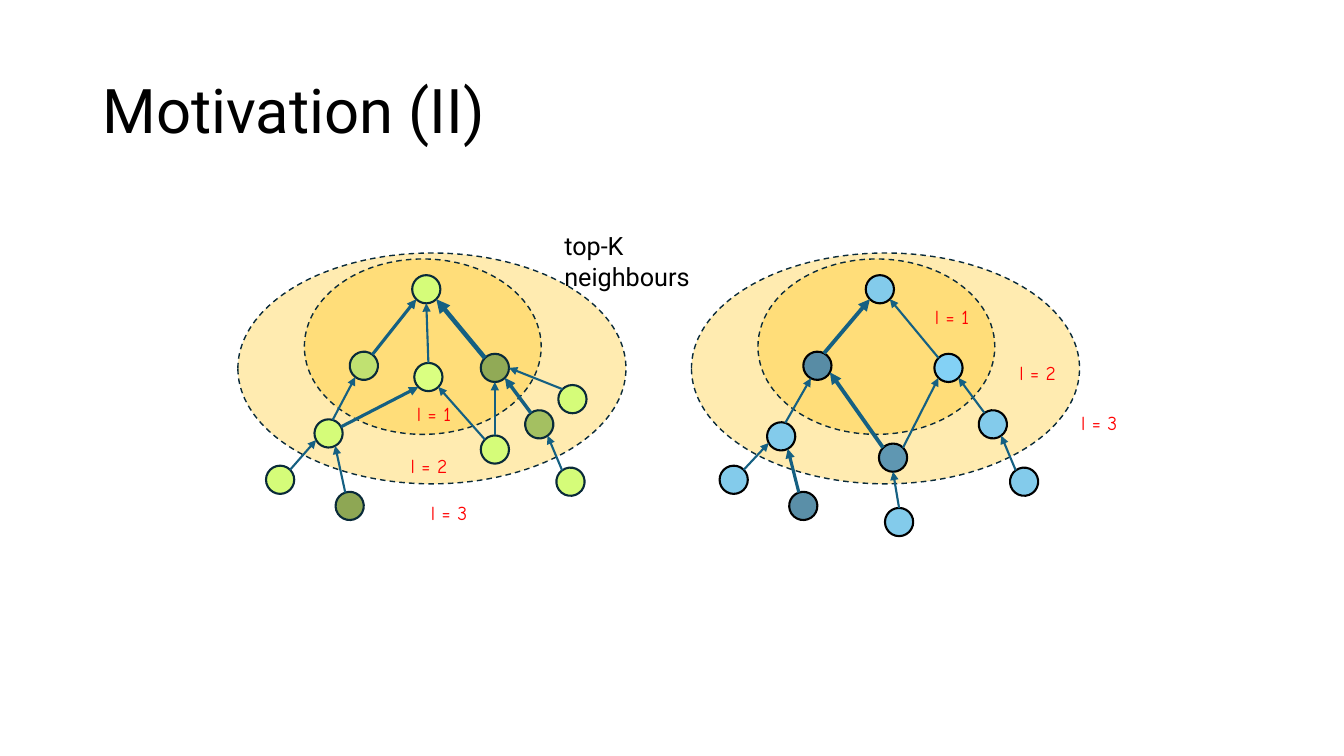
import math

import lxml.etree
import pptx
import pptx.dml.color
import pptx.enum.dml
import pptx.enum.shapes
import pptx.enum.text
import pptx.oxml.ns
import pptx.util

Pt = pptx.util.Pt
qn = pptx.oxml.ns.qn

COLORS = {
    "text": "000000", "level": "FF0000", "arrow": "156082",
    "halo": "FFC000", "halo_line": "092A39",
    "lime": "D5FC79", "lime_light": "DAFF81", "lime_mid": "C0E171",
    "olive_light": "A4C061", "olive": "91AA56", "olive_dark": "8EA754",
    "sky": "83CBEB", "sky_light": "83D1F5",
    "steel": "588CA5", "steel_light": "5F97B2", "steel_mid": "5A8FA8",
}
RADIUS = 10.08


def rgb(name):
    return pptx.dml.color.RGBColor.from_string(COLORS[name])


class GraphSlide:
    """Style and drawing methods for one slide."""

    def __init__(self, slide):
        self.slide = slide
        self.shapes = slide.shapes

    def style_text(self, tf, text, font, size, color, align):
        tf.text = text
        p = tf.paragraphs[0]
        p.alignment = align
        p.font.name, p.font.size = font, Pt(size)
        p.font.color.rgb = rgb(color)
        return p

    def title(self, text, left, top, width, height):
        sp = self.shapes.title
        sp.left, sp.top, sp.width, sp.height = map(Pt, (left, top, width, height))
        tf = sp.text_frame
        tf.vertical_anchor = pptx.enum.text.MSO_ANCHOR.MIDDLE
        p = self.style_text(tf, text, "Roboto", 44, "text", pptx.enum.text.PP_ALIGN.LEFT)
        p.line_spacing = 0.9

    def label(self, text, left, top, width, height, font, size, color, align):
        sp = self.shapes.add_textbox(Pt(left), Pt(top), Pt(width), Pt(height))
        sp.text_frame.word_wrap = True
        self.style_text(sp.text_frame, text, font, size, color, align)

    def ellipse(self, left, top, width, height, fill, line, weight):
        sp = self.shapes.add_shape(pptx.enum.shapes.MSO_SHAPE.OVAL,
                                   Pt(left), Pt(top), Pt(width), Pt(height))
        sp.shadow.inherit = False
        sp.fill.solid()
        sp.fill.fore_color.rgb = rgb(fill)
        sp.line.color.rgb = rgb(line)
        sp.line.width = Pt(weight)
        return sp

    def halo(self, left, top, width, height):
        sp = self.ellipse(left, top, width, height, "halo", "halo_line", 1)
        sp.line.dash_style = pptx.enum.dml.MSO_LINE.DASH
        color = sp.fill._xPr.find(qn("a:solidFill"))[0]
        lxml.etree.SubElement(color, qn("a:alpha")).set("val", "31000")

    def node(self, x, y, rotation, fill, line):
        sp = self.ellipse(x - RADIUS, y - RADIUS, 2 * RADIUS, 2 * RADIUS, fill, line, 1.5)
        sp.rotation = rotation

    def arrow(self, start, end, weight):
        c = self.shapes.add_connector(pptx.enum.shapes.MSO_CONNECTOR.STRAIGHT,
                                      *map(Pt, start + end))
        c.line.color.rgb = rgb("arrow")
        c.line.width = Pt(weight)
        ln = c.line._get_or_add_ln()
        lxml.etree.SubElement(ln, qn("a:tailEnd")).set("type", "triangle")
        lxml.etree.SubElement(c._element.spPr, qn("a:effectLst"))

    def graph(self, left, top, nodes, edges, levels, outline):
        """Draw halos, nodes, arrows and level labels relative to left, top."""
        self.halo(left, top, 277.2, 164.9)
        self.halo(left + 47.5, top + 4.3, 169.2, 125.3)
        for x, y, rotation, fill in nodes.values():
            self.node(left + x, top + y, rotation, fill, outline)

        # Sites 0 to 7 run counter-clockwise from the top in steps of 45 degrees
        def site(name, index):
            x, y, rotation, _ = nodes[name]
            angle = math.radians(45 * index - rotation)
            return (left + x - RADIUS * math.sin(angle),
                    top + y - RADIUS * math.cos(angle))

        for child, start, parent, end, weight in edges:
            self.arrow(site(child, start), site(parent, end), weight)
        for number, (x, y) in enumerate(levels, 1):
            self.label(f"l = {number}", left + x, top + y, 67, 24.2, "Comic Neue", 14,
                       "level", pptx.enum.text.PP_ALIGN.CENTER)


# Nodes: centre x, centre y, rotation, fill
LEFT_NODES = {
    "root": (134.6, 25.9, 0, "lime"),
    "a": (90, 80.6, 352.2, "lime_mid"),
    "b": (136.1, 88.6, 0, "lime_light"),
    "c": (183.6, 82.1, 0, "olive"),
    "d": (64.8, 128.9, 17, "lime"),
    "e": (215.3, 122.4, 8.8, "olive_light"),
    "f": (30.2, 162, 0, "lime"),
    "g": (79.9, 180.7, 26.7, "olive_dark"),
    "h": (237.6, 163.4, 8.8, "lime"),
    "i": (239, 104.4, 0, "lime"),
    "j": (183.6, 140.4, 0, "lime"),
}
RIGHT_NODES = {
    "root": (134.6, 25.9, 0, "sky"),
    "a": (90, 80.6, 342.7, "steel"),
    "k": (144, 146.2, 0, "steel_light"),
    "c": (183.6, 82.1, 0, "sky_light"),
    "d": (64.1, 131, 17, "sky"),
    "e": (215.3, 122.4, 8.8, "sky"),
    "f": (30.2, 162, 0, "sky"),
    "g": (79.9, 180.7, 26.7, "steel_mid"),
    "h": (237.6, 163.4, 8.8, "sky"),
    "l": (148.3, 192.2, 0, "sky"),
}

# Edges: child, site, parent, site, weight
SHARED_EDGES = [("d", 0, "a", 3, 1.5), ("f", 7, "d", 3, 1.5), ("h", 1, "e", 5, 1.5)]
LEFT_EDGES = SHARED_EDGES + [
    ("a", 7, "root", 3, 2.25), ("b", 0, "root", 4, 1.5), ("c", 1, "root", 5, 3.25),
    ("g", 1, "d", 5, 1.5), ("e", 1, "c", 5, 2.5), ("i", 1, "c", 6, 1.5),
    ("j", 0, "c", 4, 1.5), ("j", 1, "b", 5, 1.5), ("d", 7, "b", 3, 2.25),
]
RIGHT_EDGES = SHARED_EDGES + [
    ("a", 7, "root", 3, 2.75), ("k", 1, "a", 5, 2.75), ("c", 1, "root", 5, 1.5),
    ("g", 1, "d", 5, 2.25), ("e", 1, "c", 5, 1.5), ("k", 7, "c", 3, 1.5),
    ("l", 0, "k", 4, 1.5),
]
LEFT_LEVELS = [(106.6, 103), (103, 139.7), (117.4, 173.5)]
RIGHT_LEVELS = [(152.6, 33.8), (213.8, 73.4), (257.8, 109.4)]


def main():
    prs = pptx.Presentation()
    prs.slide_width, prs.slide_height = Pt(960), Pt(540)
    s = GraphSlide(prs.slides.add_slide(prs.slide_layouts[5]))

    # Title
    s.title("Motivation (II)", 66, 28.8, 828, 104.4)

    # Neighbourhood graphs
    s.graph(169.9, 180.7, LEFT_NODES, LEFT_EDGES, LEFT_LEVELS, "halo_line")
    s.graph(493.9, 180.7, RIGHT_NODES, RIGHT_EDGES, RIGHT_LEVELS, "text")

    # Caption
    s.label("top-K neighbours", 396, 161.3, 144, 28.8, "Roboto", 18, "text",
            pptx.enum.text.PP_ALIGN.LEFT)

    prs.save("out.pptx")


if __name__ == "__main__":
    main()
